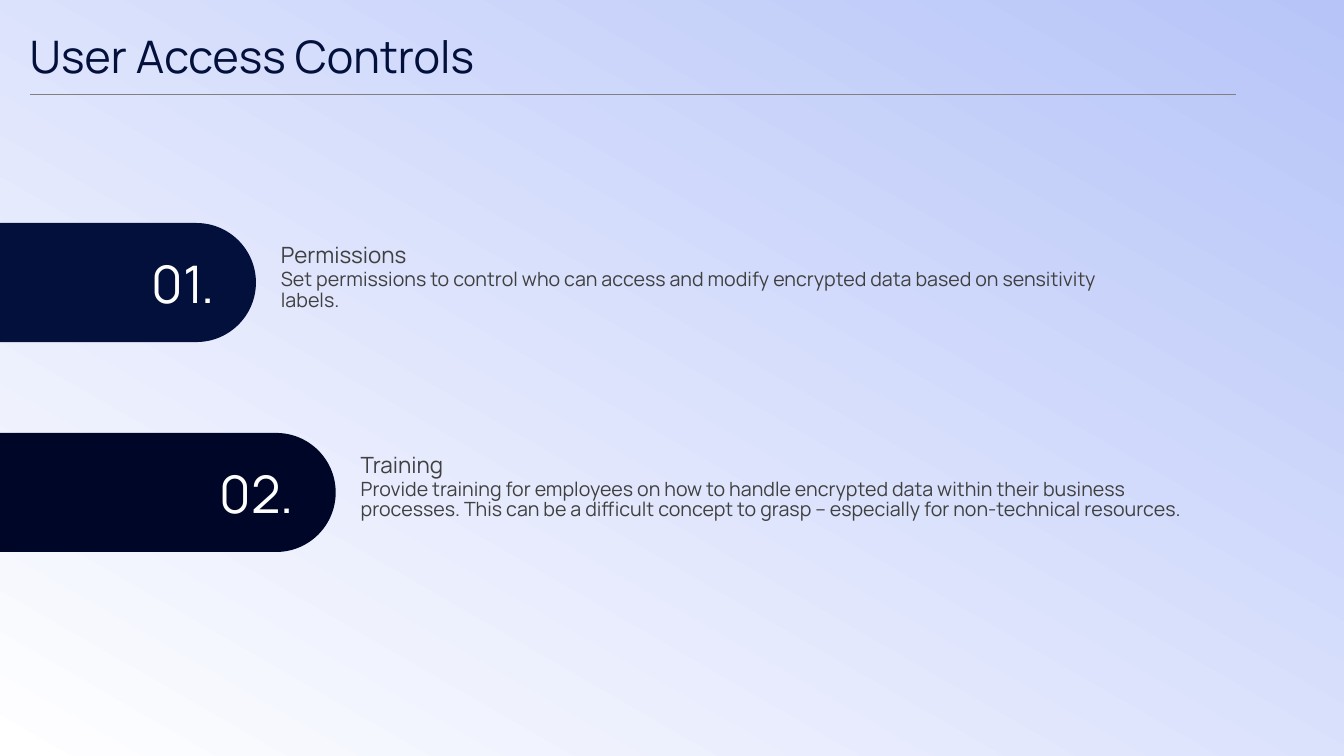
"""Build the User Access Controls slide with two numbered bars."""

from lxml.etree import SubElement
from pptx import Presentation
from pptx.dml.color import RGBColor
from pptx.enum.shapes import MSO_CONNECTOR, MSO_SHAPE
from pptx.enum.text import MSO_ANCHOR, PP_ALIGN
from pptx.oxml.ns import qn
from pptx.util import Cm, Pt

NAVY = RGBColor(0x03, 0x10, 0x3B)
MIDNIGHT = RGBColor(0x00, 0x06, 0x27)
WHITE = RGBColor(0xFF, 0xFF, 0xFF)
CHARCOAL = RGBColor(0x40, 0x40, 0x40)
GRAY = RGBColor(0x80, 0x80, 0x80)
PERIWINKLE = RGBColor(0xAA, 0xBD, 0xFB)
LAVENDER = RGBColor(0xB6, 0xC4, 0xF8)

FONT = "Manrope"
TITLE = "User Access Controls"
CONTROLS = [
    ("01.", "Permissions",
     "Set permissions to control who can access and modify encrypted data "
     "based on sensitivity labels.", NAVY, 6.45),
    ("02.", "Training",
     "Provide training for employees on how to handle encrypted data within "
     "their business processes. This can be a difficult concept to grasp – "
     "especially for non-technical resources.", MIDNIGHT, 8.46),
]

SLIDE_WIDTH, SLIDE_HEIGHT = 33.87, 19.05
MARGIN = 0.75
BAR_HEIGHT = 3.0
FIRST_CENTER, CENTER_STEP = 7.12, 5.29
NUMBER_WIDTH, NUMBER_HEIGHT, NUMBER_INSET = 3.05, 1.57, 1.05
TEXT_GAP, TEXT_WIDTH = 0.63, 21.0


def set_gradient(fill, start_color):
    fill.gradient()
    fill.gradient_angle = 300
    for stop, color, position in zip(fill.gradient_stops, (start_color, WHITE), (0, 1)):
        stop.color.rgb = color
        stop.position = position


def add_text(slide, text, box, size, color, anchor=MSO_ANCHOR.TOP,
             align=PP_ALIGN.LEFT, line_spacing=None):
    frame = slide.shapes.add_textbox(*map(Cm, box)).text_frame
    frame.word_wrap = True
    frame.vertical_anchor = anchor
    frame.margin_left = frame.margin_right = frame.margin_top = frame.margin_bottom = 0
    paragraph = frame.paragraphs[0]
    paragraph.alignment = align
    paragraph.line_spacing = line_spacing
    run = paragraph.add_run()
    run.text = text
    run.font.name = FONT
    run.font.size = Pt(size)
    run.font.color.rgb = color


def add_backdrop(slide):
    set_gradient(slide.background.fill, PERIWINKLE)
    backdrop = slide.shapes.add_shape(
        MSO_SHAPE.RECTANGLE, 0, 0, Cm(SLIDE_WIDTH), Cm(SLIDE_HEIGHT))
    backdrop.shadow.inherit = False
    backdrop.line.fill.background()
    set_gradient(backdrop.fill, LAVENDER)
    backdrop.element.spPr.xfrm.set("flipH", "1")


def add_bar(slide, length, center, color):
    bar = slide.shapes.add_shape(
        MSO_SHAPE.ROUND_2_SAME_RECTANGLE, Cm((length - BAR_HEIGHT) / 2),
        Cm(center - length / 2), Cm(BAR_HEIGHT), Cm(length))
    bar.rotation = 90
    bar.adjustments[0] = 0.5
    bar.adjustments[1] = 0
    bar.shadow.inherit = False
    bar.fill.solid()
    bar.fill.fore_color.rgb = color
    bar.line.fill.background()


def add_control(slide, index, number, heading, description, color, length):
    center = FIRST_CENTER + index * CENTER_STEP
    text_left = length + TEXT_GAP
    add_bar(slide, length, center, color)
    add_text(slide, number,
             (length - NUMBER_INSET - NUMBER_WIDTH, center - NUMBER_HEIGHT / 2,
              NUMBER_WIDTH, NUMBER_HEIGHT),
             37, WHITE, MSO_ANCHOR.MIDDLE, PP_ALIGN.RIGHT)
    add_text(slide, heading, (text_left, center - 1.47, TEXT_WIDTH, 1.1),
             16, CHARCOAL, MSO_ANCHOR.BOTTOM)
    add_text(slide, description, (text_left, center - 0.3, TEXT_WIDTH, 2.0),
             14, CHARCOAL, line_spacing=0.86)


def add_title(slide):
    add_text(slide, TITLE, (MARGIN, 0.8, 30.73, 1.2), 32, NAVY, MSO_ANCHOR.MIDDLE)
    rule = slide.shapes.add_connector(
        MSO_CONNECTOR.STRAIGHT, Cm(MARGIN), Cm(2.38), Cm(31.14), Cm(2.38))
    rule.line.color.rgb = GRAY
    rule.line.width = Pt(1.25)
    SubElement(rule._element.spPr, qn("a:effectLst"))


def main():
    presentation = Presentation()
    presentation.slide_width = Cm(SLIDE_WIDTH)
    presentation.slide_height = Cm(SLIDE_HEIGHT)
    slide = presentation.slides.add_slide(presentation.slide_layouts[6])
    add_backdrop(slide)
    for index, control in enumerate(CONTROLS):
        add_control(slide, index, *control)
    add_title(slide)
    presentation.save("out.pptx")


if __name__ == "__main__":
    main()
